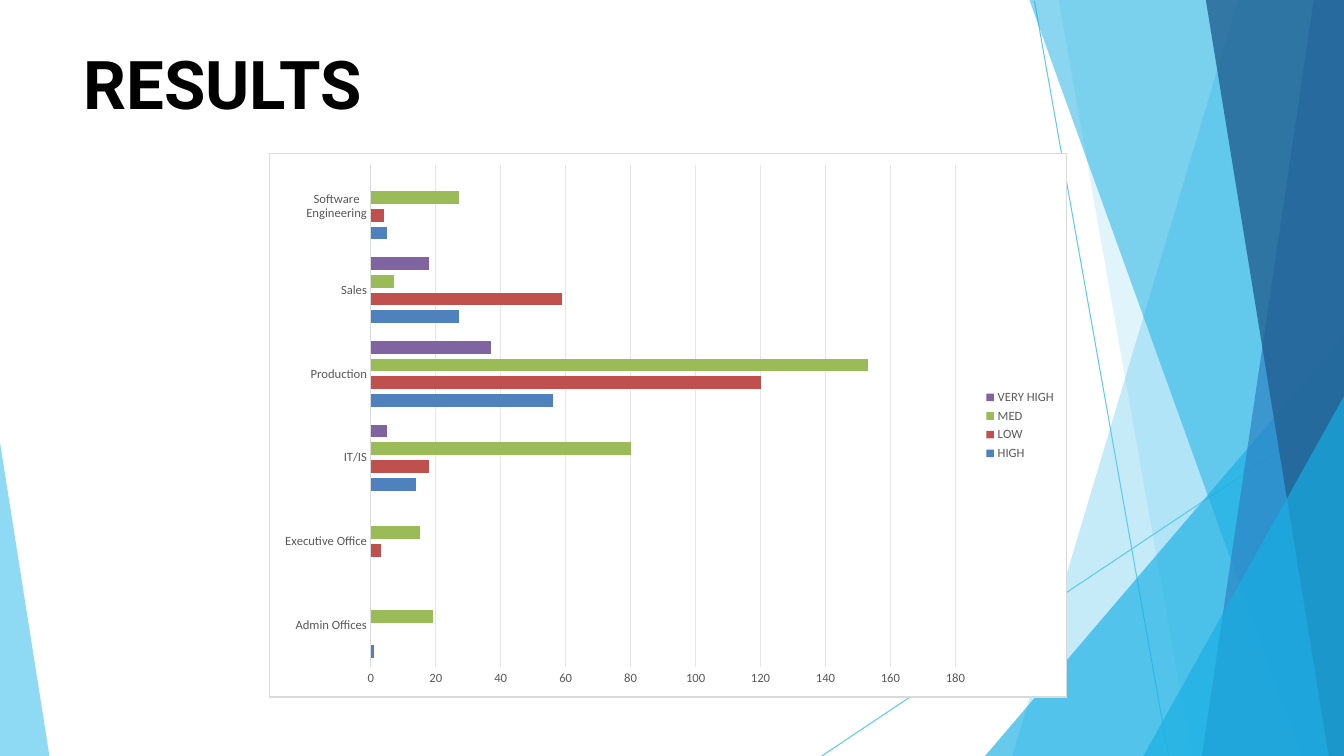
from lxml import etree
from pptx import Presentation
from pptx import util as u
from pptx.chart.data import CategoryChartData
from pptx.dml.color import RGBColor
from pptx.enum import chart as charts, shapes, text
from pptx.oxml import parse_xml
from pptx.oxml.ns import nsdecls, qn

WIDTH, HEIGHT = 13.33, 7.5

RAYS = [((10.26, 0.01), (11.59, HEIGHT)), ((WIDTH, 4.04), (8.15, HEIGHT))]

# Facets against the right edge: top-left x, bottom-left x, colour, opacity
BANDS = [
    (12.28, 10.04, "5FCAEE", 36),
    (10.5, 11.82, "5FCAEE", 20),
    (10.21, 12.91, "17AFE3", 50),
    (13.03, 11.92, "2D83C3", 70),
    (11.96, 13.18, "226192", 80),
]
# Corner triangles: outer x, top y, inner x, colour, opacity
LOWER_CORNER = (WIDTH, 3.33, 9.77, "17AFE3", 66)
FRONT_CORNER = (WIDTH, 3.93, 11.34, "17AFE3", 66)
LEFT_CORNER = (0, 4.39, 0.49, "5FCAEE", 70)

CATEGORIES = ["Admin Offices", "Executive Office", "IT/IS",
              "Production", "Sales", "Software Engineering"]
SERIES = [
    ("HIGH", "4F81BD", (1, None, 14, 56, 27, 5)),
    ("LOW", "C0504D", (None, 3, 18, 120, 59, 4)),
    ("MED", "9BBB59", (19, 15, 80, 153, 7, 27)),
    ("VERY HIGH", "8064A2", (None, None, 5, 37, 18, None)),
]
PLOT_AREA = {"x": 0.127, "y": 0.02, "w": 0.734, "h": 0.925}


def rgb(value):
    return RGBColor.from_string(value)


def set_attributes(target, values):
    for name, value in values.items():
        setattr(target, name, value)


def format_font(font, name, size, color, bold=False):
    set_attributes(font, {"name": name, "size": u.Pt(size), "bold": bold})
    font.color.rgb = rgb(color)


def format_line(line, color, width=0.75):
    line.color.rgb = rgb(color)
    line.width = u.Pt(width)


def add_ray(slide, start, end):
    points = [u.Inches(value) for value in (*start, *end)]
    ray = slide.shapes.add_connector(shapes.MSO_CONNECTOR.STRAIGHT, *points)
    format_line(ray.line, "5FCAEE")
    etree.SubElement(ray.element.spPr, qn("a:effectLst"))


def add_facet(slide, points, color, opacity):
    """Add a translucent polygon without an outline."""
    corners = [(u.Inches(x), u.Inches(y)) for x, y in points]
    builder = slide.shapes.build_freeform(*corners[0])
    builder.add_line_segments(corners[1:], close=True)
    facet = builder.convert_to_shape()
    facet.shadow.inherit = False
    facet.line.fill.background()
    facet.fill.solid()
    facet.fill.fore_color.rgb = rgb(color)
    fill_color = facet.element.spPr.find(".//" + qn("a:srgbClr"))
    etree.SubElement(fill_color, qn("a:alpha"), val=str(opacity * 1000))


def add_band(slide, top, bottom, color, opacity):
    points = [(WIDTH, 0), (top, 0), (bottom, HEIGHT), (WIDTH, HEIGHT)]
    add_facet(slide, points, color, opacity)


def add_corner(slide, outer, top, inner, color, opacity):
    points = [(outer, top), (inner, HEIGHT), (outer, HEIGHT)]
    add_facet(slide, points, color, opacity)


def add_backdrop(slide):
    for start, end in RAYS:
        add_ray(slide, start, end)
    for band in BANDS[:2]:
        add_band(slide, *band)
    add_corner(slide, *LOWER_CORNER)
    for band in BANDS[2:]:
        add_band(slide, *band)
    for corner in (FRONT_CORNER, LEFT_CORNER):
        add_corner(slide, *corner)


def format_title(slide, wording):
    title = slide.shapes.title
    set_attributes(title, {
        "left": u.Inches(0.83), "top": u.Inches(0.42),
        "width": u.Inches(11.68), "height": u.Inches(0.81),
    })
    frame = title.text_frame
    frame.text = wording
    set_attributes(frame, {
        "margin_left": 0, "margin_top": 0,
        "margin_right": 0, "margin_bottom": 0,
        "word_wrap": True,
        "vertical_anchor": text.MSO_ANCHOR.TOP,
        "auto_size": text.MSO_AUTO_SIZE.SHAPE_TO_FIT_TEXT,
    })
    paragraph = frame.paragraphs[0]
    paragraph.alignment = text.PP_ALIGN.LEFT
    format_font(paragraph.runs[0].font, "Roboto", 48, "000000", True)
    slide.shapes.element.append(title.element)  # in front of the backdrop


def frame_chart(chart):
    """Give the chart area a white fill and a thin grey border."""
    area = parse_xml(
        f'<c:spPr {nsdecls("c", "a")}>'
        '<a:solidFill><a:srgbClr val="FFFFFF"/></a:solidFill>'
        '<a:ln w="9525"><a:solidFill><a:srgbClr val="D9D9D9"/></a:solidFill></a:ln>'
        '</c:spPr>')
    chart.element.find(qn("c:chart")).addnext(area)


def place_plot(chart):
    """Fix the inner plot area as fractions of the chart."""
    plot_area = chart.element.find(".//" + qn("c:plotArea"))
    for layout in plot_area.findall(qn("c:layout")):
        plot_area.remove(layout)
    settings = {"layoutTarget": "inner", "xMode": "edge", "yMode": "edge", **PLOT_AREA}
    items = "".join(f'<c:{name} val="{value}"/>' for name, value in settings.items())
    plot_area.insert(0, parse_xml(
        f'<c:layout {nsdecls("c")}><c:manualLayout>{items}</c:manualLayout></c:layout>'))


def format_axes(chart):
    for axis in (chart.category_axis, chart.value_axis):
        axis.major_tick_mark = axis.minor_tick_mark = charts.XL_TICK_MARK.NONE
        format_font(axis.tick_labels.font, "Calibri", 9, "595959")
    format_line(chart.category_axis.format.line, "D9D9D9")
    set_attributes(chart.value_axis, {
        "minimum_scale": 0, "maximum_scale": 180, "major_unit": 20,
        "has_major_gridlines": True,
    })
    chart.value_axis.format.line.fill.background()
    format_line(chart.value_axis.major_gridlines.format.line, "E6E6E6")


def add_results_chart(slide):
    data = CategoryChartData()
    data.categories = CATEGORIES
    for name, _, values in SERIES:
        data.add_series(name, values)
    place = [u.Inches(value) for value in (2.67, 1.52, 7.91, 5.4)]
    chart = slide.shapes.add_chart(
        charts.XL_CHART_TYPE.BAR_CLUSTERED, *place, data).chart
    format_font(chart.font, "Calibri", 10, "000000")
    set_attributes(chart, {"has_title": False, "has_legend": True})
    set_attributes(chart.legend, {
        "position": charts.XL_LEGEND_POSITION.RIGHT, "include_in_layout": False})
    format_font(chart.legend.font, "Calibri", 9, "595959")
    plot = chart.plots[0]
    set_attributes(plot, {"gap_width": 140, "overlap": -40, "vary_by_categories": False})
    for series, (_, color, _) in zip(plot.series, SERIES):
        series.format.fill.solid()
        series.format.fill.fore_color.rgb = rgb(color)
    format_axes(chart)
    frame_chart(chart)
    place_plot(chart)


def main():
    presentation = Presentation()
    presentation.slide_width = u.Inches(WIDTH)
    presentation.slide_height = u.Inches(HEIGHT)
    slide = presentation.slides.add_slide(presentation.slide_layouts[5])
    add_backdrop(slide)
    format_title(slide, "RESULTS")
    add_results_chart(slide)
    presentation.save("out.pptx")


if __name__ == "__main__":
    main()
